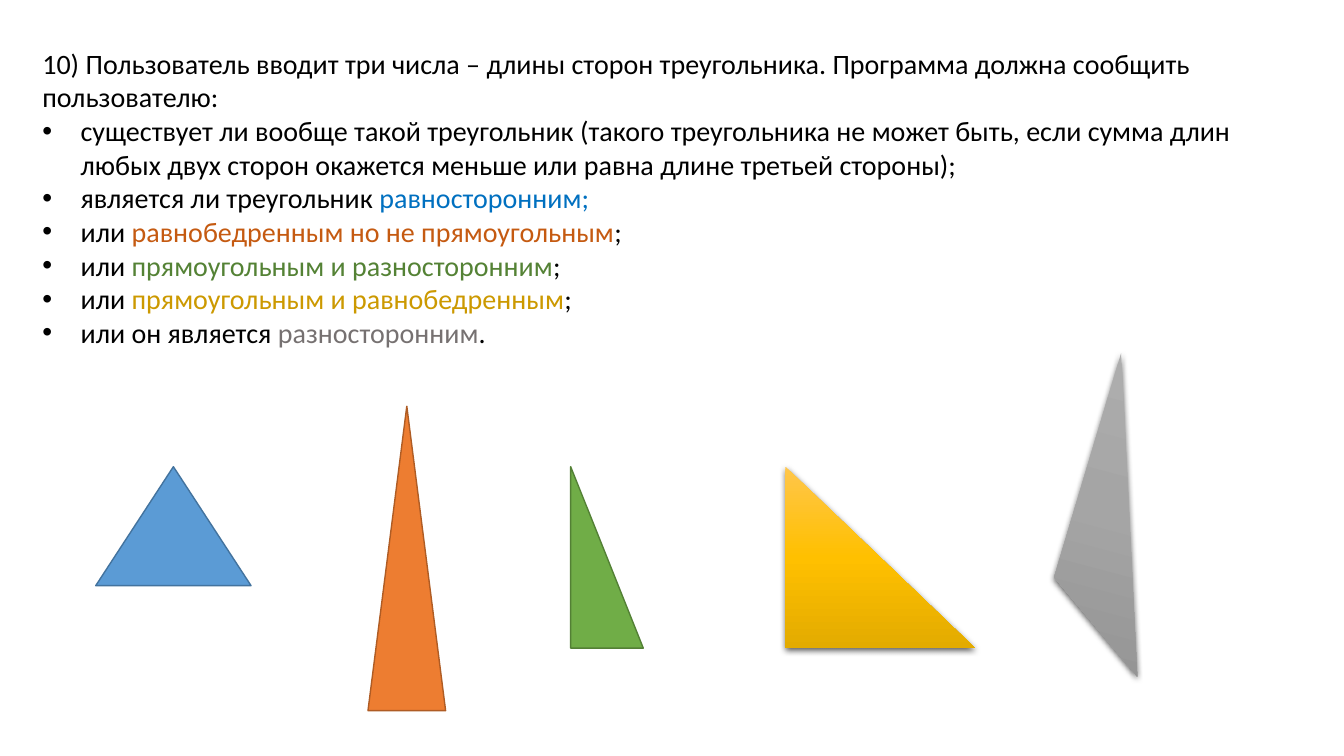
from lxml import etree
from pptx import Presentation
from pptx.dml.color import RGBColor
from pptx.enum.shapes import MSO_SHAPE
from pptx.enum.text import MSO_ANCHOR, MSO_AUTO_SIZE, PP_ALIGN
from pptx.oxml.ns import qn
from pptx.util import Inches, Pt

ISO = MSO_SHAPE.ISOSCELES_TRIANGLE
RIGHT = MSO_SHAPE.RIGHT_TRIANGLE
TOP = MSO_ANCHOR.TOP
GROW = MSO_AUTO_SIZE.SHAPE_TO_FIT_TEXT
LEFT = PP_ALIGN.LEFT

BLACK = RGBColor(0x00, 0x00, 0x00)
BLUE = RGBColor(0x00, 0x70, 0xC0)
RUST = RGBColor(0xC5, 0x5A, 0x11)
GREEN = RGBColor(0x54, 0x82, 0x35)
OCHRE = RGBColor(0xCC, 0x99, 0x00)
GREY = RGBColor(0x76, 0x71, 0x71)
SKY = RGBColor(0x5B, 0x9B, 0xD5)
NAVY = RGBColor(0x43, 0x73, 0x9E)
LEAF = RGBColor(0x70, 0xAD, 0x47)
MOSS = RGBColor(0x53, 0x80, 0x35)
ORANGE = RGBColor(0xED, 0x7D, 0x31)
BROWN = RGBColor(0xAF, 0x5C, 0x24)
GOLD = [RGBColor(0xFF, 0xC6, 0x4B), RGBColor(0xFF, 0xC0, 0x00), RGBColor(0xE3, 0xAB, 0x00)]
STEEL = [RGBColor(0xAF, 0xAF, 0xAF), RGBColor(0xA5, 0xA5, 0xA5), RGBColor(0x93, 0x93, 0x93)]

WIDE, HIGH = 13.33, 7.5
BODY = (0.32, 0.41, 12.41, 3.13)
INDENT = 0.38
ROW = 4.63

INTRO = "10) Пользователь вводит три числа – длины сторон треугольника. Программа должна сообщить пользователю:"
ITEMS = [
    [("существует ли вообще такой треугольник (такого треугольника не может быть, "
      "если сумма длин любых двух сторон окажется меньше или равна длине третьей стороны);", BLACK)],
    [("является ли треугольник ", BLACK), ("равносторонним;", BLUE)],
    [("или ", BLACK), ("равнобедренным но не прямоугольным", RUST), (";", BLACK)],
    [("или ", BLACK), ("прямоугольным и разносторонним", GREEN), (";", BLACK)],
    [("или ", BLACK), ("прямоугольным и равнобедренным", OCHRE), (";", BLACK)],
    [("или он является ", BLACK), ("разносторонним", GREY), (".", BLACK)],
]
FLAT = [
    (ISO, (0.95, ROW, 1.54, 1.18), SKY, NAVY),
    (RIGHT, (5.66, ROW, 0.72, 1.8), LEAF, MOSS),
    (ISO, (3.65, 4.03, 0.77, 3.02), ORANGE, BROWN),
]
GOLD_BOX = (7.79, ROW, 1.88, 1.8)
SCALENE = [(10.64, 5.89), (10.71, 3.57), (11.69, 6.63)]
TILT = 14.9


def inches(box):
    return [Inches(v) for v in box]


def write(para, runs, indent):
    para.alignment = LEFT
    para.space_before = para.space_after = Pt(0)
    para.line_spacing = 1.0
    props = para._p.get_or_add_pPr()
    props.set("marL", str(Inches(indent)))
    props.set("indent", str(-Inches(indent)))
    if indent:
        font = etree.SubElement(props, qn("a:buFont"))
        font.set("typeface", "Arial")
        etree.SubElement(props, qn("a:buChar")).set("char", "•")
    else:
        etree.SubElement(props, qn("a:buNone"))
    for text, color in runs:
        run = para.add_run()
        run.text = text
        run.font.name = "Calibri"
        run.font.size = Pt(20)
        run.font.color.rgb = color


def shade(shape, colors):
    shape.fill.gradient()
    shape.fill.gradient_angle = 270
    stops = shape._element.spPr.find(qn("a:gradFill")).find(qn("a:gsLst"))
    for stop in list(stops):
        stops.remove(stop)
    for i, color in enumerate(colors):
        stop = etree.SubElement(stops, qn("a:gs"), pos=str(i * 50000))
        etree.SubElement(stop, qn("a:srgbClr"), val=str(color))
    shape.line.fill.background()
    shape.shadow.inherit = False
    effects = shape._element.spPr.find(qn("a:effectLst"))
    cast = etree.SubElement(effects, qn("a:outerShdw"), blurRad=str(Pt(4.5)),
                            dist=str(Pt(1.5)), dir="5400000", algn="ctr", rotWithShape="0")
    tone = etree.SubElement(cast, qn("a:srgbClr"), val=str(BLACK))
    etree.SubElement(tone, qn("a:alpha"), val="63000")


def main():
    deck = Presentation()
    deck.slide_width, deck.slide_height = Inches(WIDE), Inches(HIGH)
    slide = deck.slides.add_slide(deck.slide_layouts[1])
    title = slide.shapes.title._element
    title.getparent().remove(title)

    body = slide.placeholders[1]
    body.left, body.top, body.width, body.height = inches(BODY)
    frame = body.text_frame
    frame.word_wrap = True
    frame.auto_size = GROW
    frame.vertical_anchor = TOP
    write(frame.paragraphs[0], [(INTRO, BLACK)], 0)
    for runs in ITEMS:
        write(frame.add_paragraph(), runs, INDENT)

    for kind, box, fill, edge in FLAT:
        shape = slide.shapes.add_shape(kind, *inches(box))
        shape.shadow.inherit = False
        shape.fill.solid()
        shape.fill.fore_color.rgb = fill
        shape.line.color.rgb = edge
        shape.line.width = Pt(1)

    shade(slide.shapes.add_shape(RIGHT, *inches(GOLD_BOX)), GOLD)

    points = [inches(p) for p in SCALENE]
    pen = slide.shapes.build_freeform(*points[0])
    pen.add_line_segments(points[1:], close=True)
    shape = pen.convert_to_shape()
    shape.rotation = TILT
    shade(shape, STEEL)

    deck.save("out.pptx")


if __name__ == "__main__":
    main()
